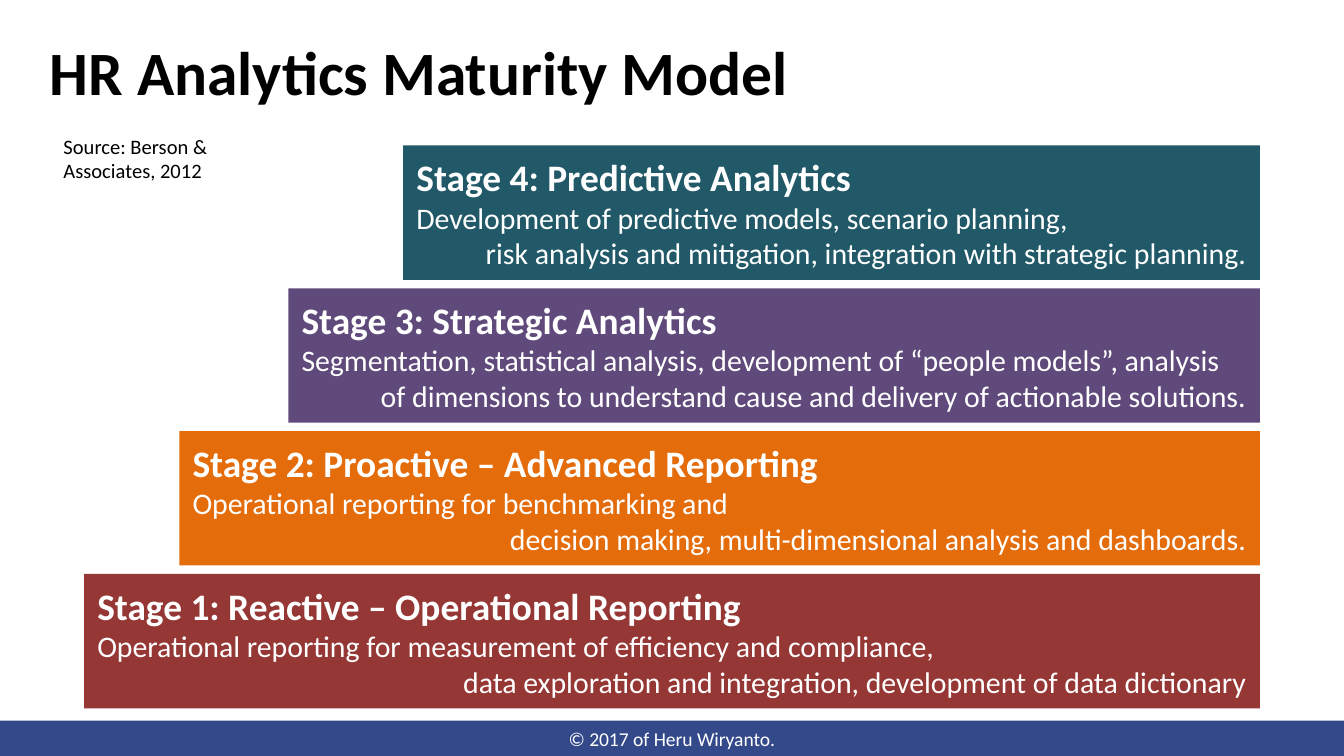
from dataclasses import dataclass

from pptx import Presentation
from pptx.dml.color import RGBColor
from pptx.enum.shapes import MSO_SHAPE
from pptx.enum.text import MSO_ANCHOR, PP_ALIGN
from pptx.slide import Slide
from pptx.util import Cm, Pt

RECTANGLE = MSO_SHAPE.RECTANGLE
TOP, MIDDLE = MSO_ANCHOR.TOP, MSO_ANCHOR.MIDDLE
LEFT, CENTER, RIGHT = PP_ALIGN.LEFT, PP_ALIGN.CENTER, PP_ALIGN.RIGHT

SLIDE_WIDTH, SLIDE_HEIGHT = 25.4, 14.29
BLACK, WHITE, FOOTER_BLUE = "000000", "FFFFFF", "34498A"

STAGE_RIGHT, STAGE_HEIGHT = 23.81, 2.54
FIRST_STAGE_TOP, STAGE_STEP = 10.85, 2.7
STAGES = [
    (1.59, "953735", "Stage 1: Reactive – Operational Reporting",
     "Operational reporting for measurement of efficiency and compliance,",
     "data exploration and integration, development of data dictionary"),
    (3.39, "E46C0A", "Stage 2: Proactive – Advanced Reporting",
     "Operational reporting for benchmarking and",
     "decision making, multi-dimensional analysis and dashboards."),
    (5.45, "604A7B", "Stage 3: Strategic Analytics",
     "Segmentation, statistical analysis, development of “people models”, analysis",
     "of dimensions to understand cause and delivery of actionable solutions."),
    (7.62, "215968", "Stage 4: Predictive Analytics",
     "Development of predictive models, scenario planning,",
     "risk analysis and mitigation, integration with strategic planning."),
]


def color(value):
    return RGBColor.from_string(value)


@dataclass
class SlideBuilder:
    """Holds the font and the current slide, and adds styled elements to it."""

    slide: Slide
    font_name: str = "Calibri"

    def fill_text(self, shape, lines, text_color, anchor):
        frame = shape.text_frame
        frame.word_wrap = True
        frame.vertical_anchor = anchor
        frame.text = "\n".join(text for text, *_ in lines)
        for paragraph, (_, size, bold, alignment) in zip(frame.paragraphs, lines):
            paragraph.alignment = alignment
            paragraph.font.name = self.font_name
            paragraph.font.size = Pt(size)
            paragraph.font.bold = bold
            paragraph.font.color.rgb = color(text_color)

    def text_box(self, left, top, width, height, line, anchor=TOP):
        shape = self.slide.shapes.add_textbox(Cm(left), Cm(top), Cm(width), Cm(height))
        self.fill_text(shape, [line], BLACK, anchor)
        return shape

    def bar(self, left, top, width, height, fill, lines):
        shape = self.slide.shapes.add_shape(
            RECTANGLE, Cm(left), Cm(top), Cm(width), Cm(height))
        shape.shadow.inherit = False
        shape.fill.solid()
        shape.fill.fore_color.rgb = color(fill)
        shape.line.fill.background()
        self.fill_text(shape, lines, WHITE, MIDDLE)


def main():
    presentation = Presentation()
    presentation.slide_width = Cm(SLIDE_WIDTH)
    presentation.slide_height = Cm(SLIDE_HEIGHT)
    builder = SlideBuilder(presentation.slides.add_slide(presentation.slide_layouts[6]))

    footer_top = 13.62
    builder.bar(0, footer_top, SLIDE_WIDTH, SLIDE_HEIGHT - footer_top, FOOTER_BLUE,
                [("© 2017 of Heru Wiryanto.", 10.5, False, CENTER)])

    title = builder.text_box(0.69, 0.03, 21.9, 2.79,
                             ("HR Analytics Maturity Model", 33, True, LEFT), MIDDLE)
    title.text_frame.paragraphs[0].line_spacing = 0.9

    for index, (left, fill, heading, opening, closing) in enumerate(STAGES):
        builder.bar(left, FIRST_STAGE_TOP - index * STAGE_STEP,
                    STAGE_RIGHT - left, STAGE_HEIGHT, fill,
                    [(heading, 20, True, LEFT),
                     (opening, 16, False, LEFT),
                     (closing, 16, False, RIGHT)])

    builder.text_box(0.95, 2.4, 4.65, 1.17,
                     ("Source: Berson & Associates, 2012", 11, False, LEFT))

    presentation.save("out.pptx")


if __name__ == "__main__":
    main()
